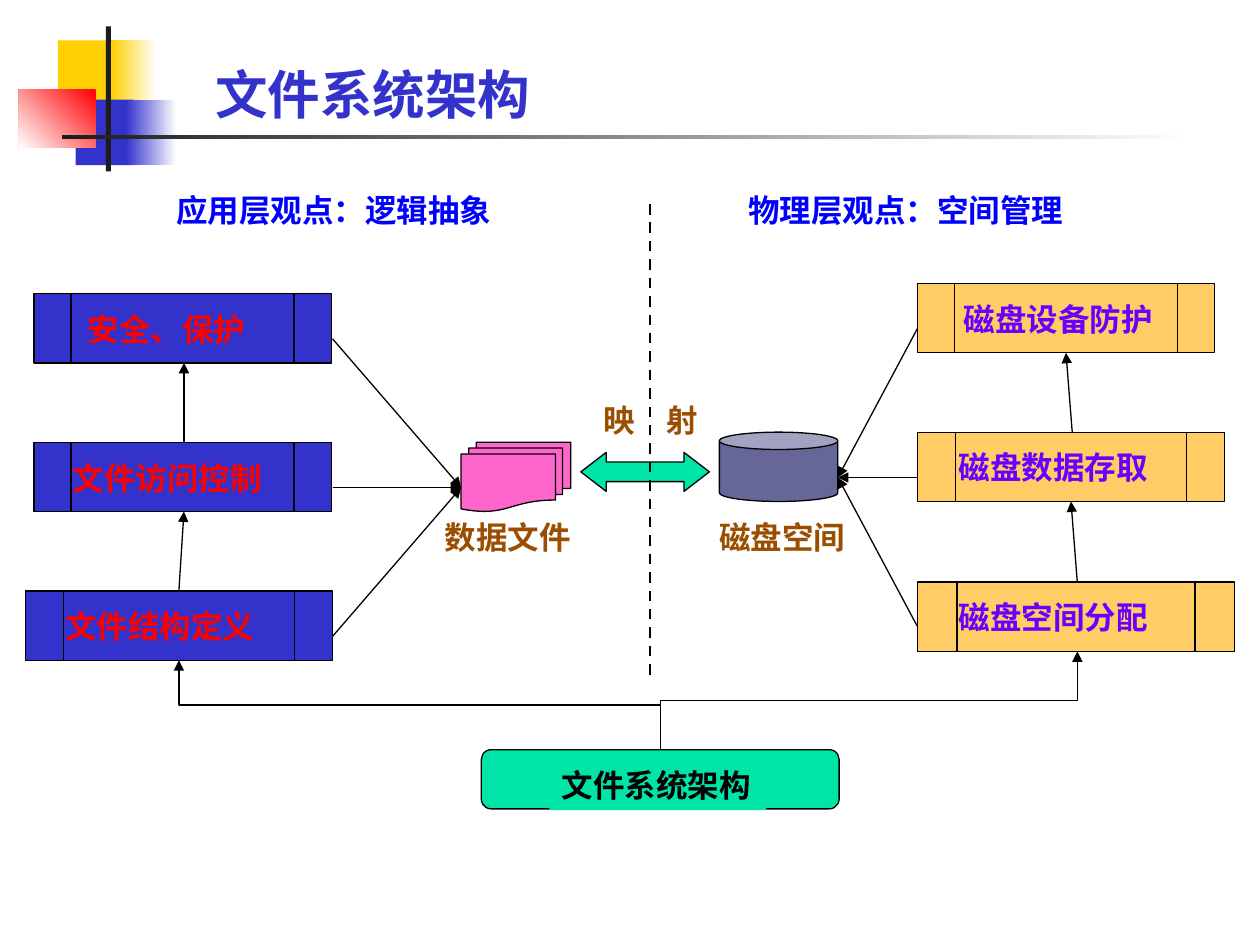
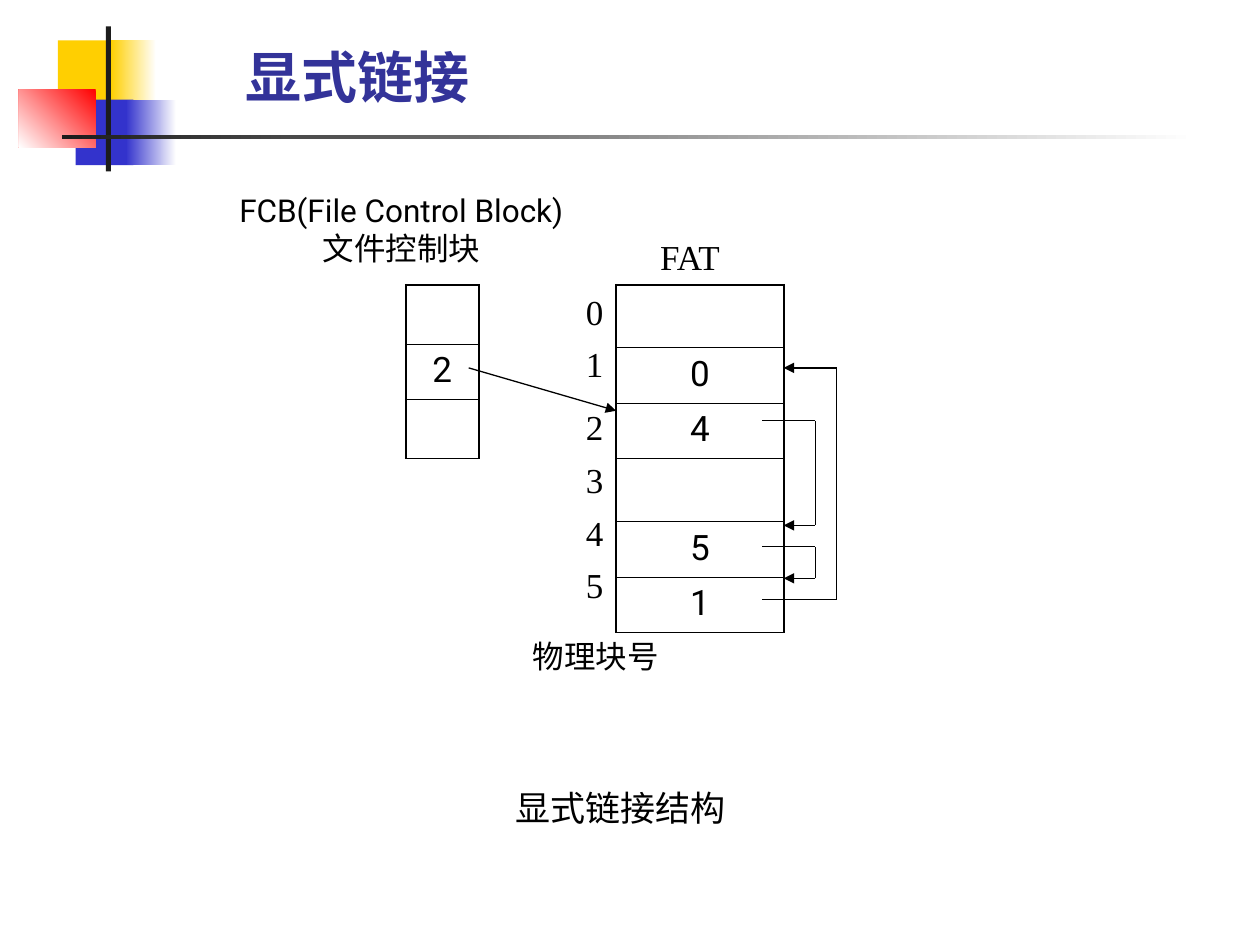
import pptx
import pptx.dml.color
import pptx.enum.dml
import pptx.enum.shapes
import pptx.enum.text
import pptx.oxml
import pptx.oxml.ns
import pptx.util
from lxml import etree

Inches = pptx.util.Inches
Pt = pptx.util.Pt
RGBColor = pptx.dml.color.RGBColor
SHAPE = pptx.enum.shapes.MSO_SHAPE
CONNECTOR = pptx.enum.shapes.MSO_CONNECTOR
ALIGN = pptx.enum.text.PP_ALIGN
qn = pptx.oxml.ns.qn

BLACK = RGBColor(0x00, 0x00, 0x00)
WHITE = RGBColor(0xFF, 0xFF, 0xFF)
CHARCOAL = RGBColor(0x1C, 0x1C, 0x1C)
YELLOW = RGBColor(0xFF, 0xCF, 0x01)
BLUE = RGBColor(0x33, 0x33, 0xCC)
NAVY = RGBColor(0x33, 0x33, 0x99)
RED = RGBColor(0xFF, 0x00, 0x00)
PURE_BLUE = RGBColor(0x00, 0x00, 0xFF)
MINT = RGBColor(0x00, 0xE4, 0xA8)
ORANGE = RGBColor(0xFF, 0xCC, 0x66)
VIOLET = RGBColor(0x66, 0x00, 0xFF)
PINK = RGBColor(0xFF, 0x66, 0xCC)
SLATE = RGBColor(0x66, 0x66, 0x99)
BROWN = RGBColor(0x9C, 0x4E, 0x00)

CJK_FONT = "Noto Sans CJK SC"
TITLE = {"name": CJK_FONT, "size": Pt(30), "bold": True}
LABEL = {"name": "Roboto", "size": Pt(18), "bold": True}
NOTE = {"name": "Roboto", "size": Pt(18), "bold": False}
CELL = {"name": "Roboto", "size": Pt(20), "bold": False}
SERIF = {"name": "Times New Roman", "size": Pt(20), "bold": False}
FRAME = {
    "word_wrap": True,
    "auto_size": pptx.enum.text.MSO_AUTO_SIZE.NONE,
    "vertical_anchor": pptx.enum.text.MSO_ANCHOR.TOP,
    "margin_left": Inches(0.1),
    "margin_right": Inches(0.1),
    "margin_top": Inches(0.05),
    "margin_bottom": Inches(0.05),
}


def write_text(text_frame, text, style, color, align=ALIGN.LEFT):
    text_frame.text = text
    for paragraph in text_frame.paragraphs:
        paragraph.alignment = align
        for run in paragraph.runs:
            for attribute, value in style.items():
                setattr(run.font, attribute, value)
            run.font.color.rgb = color
            latin = run.font._element.find(qn("a:latin"))
            east_asian = etree.Element(qn("a:ea"), typeface=CJK_FONT)
            latin.addnext(east_asian)


def add_line(slide, start, end, arrow=True, kind=CONNECTOR.STRAIGHT, width=0.75):
    connector = slide.shapes.add_connector(kind, *map(Inches, start + end))
    connector.line.color.rgb = BLACK
    connector.line.width = Pt(width)
    properties = connector.element.spPr
    if arrow:
        etree.SubElement(properties.find(qn("a:ln")), qn("a:tailEnd"), type="triangle")
    etree.SubElement(properties, qn("a:effectLst"))
    return connector


presentation = pptx.Presentation()
presentation.slide_width = Inches(10)
presentation.slide_height = Inches(7.5)
layout = presentation.slide_layouts[5]

titles = [
    ("文件系统架构", (1.61, 0.44, 3.7, 0.6), BLUE, TITLE),
    ("显式链接", (1.85, 0.29, 2.36, 0.71), NAVY, TITLE | {"size": Pt(32)}),
]
for text, box, color, style in titles:
    slide = presentation.slides.add_slide(layout)
    title = slide.shapes.title
    title.left, title.top, title.width, title.height = map(Inches, box)
    for attribute, value in FRAME.items():
        setattr(title.text_frame, attribute, value)
    write_text(title.text_frame, text, style, color)
architecture, linking = presentation.slides

decorations = [
    ((0.46, 0.32, 0.48, 0.52), [YELLOW], 0),
    ((0.88, 0.32, 0.36, 0.52), [WHITE, YELLOW], 180),
    ((0.6, 0.79, 0.46, 0.52), [BLUE], 0),
    ((1, 0.79, 0.4, 0.52), [WHITE, BLUE], 180),
    ((0.15, 0.71, 0.61, 0.46), [RED, WHITE], 225),
    ((0.84, 0.21, 0.04, 1.15), [CHARCOAL], 0),
    ((0.49, 1.07, 9, 0.03), [WHITE, CHARCOAL], 180),
]
for box, colors, angle in decorations:
    shape = architecture.shapes.add_shape(SHAPE.RECTANGLE, *map(Inches, box))
    shape.shadow.inherit = False
    shape.line.fill.background()
    if len(colors) == 1:
        shape.fill.solid()
        shape.fill.fore_color.rgb = colors[0]
    else:
        shape.fill.gradient()
        shape.fill.gradient_angle = angle
        for stop, color, position in zip(shape.fill.gradient_stops, colors, (0, 1)):
            stop.color.rgb = color
            stop.position = position
    layout.shapes.element.append(shape.element)

processes = [
    ("安全、保护", (0.27, 2.33, 2.36, 0.55), 0.6, BLUE, RED),
    ("文件访问控制", (0.27, 3.51, 2.36, 0.55), 0.48, BLUE, RED),
    ("文件结构定义", (0.2, 4.69, 2.44, 0.55), 0.42, BLUE, RED),
    ("磁盘设备防护", (7.28, 2.25, 2.36, 0.55), 7.55, ORANGE, VIOLET),
    ("磁盘数据存取", (7.28, 3.43, 2.44, 0.55), 7.51, ORANGE, VIOLET),
    ("磁盘空间分配", (7.28, 4.62, 2.52, 0.55), 7.51, ORANGE, VIOLET),
]
diagram = [(SHAPE.FLOWCHART_PREDEFINED_PROCESS, box, fill) for _, box, _, fill, _ in processes]
diagram += [
    (SHAPE.FLOWCHART_ALTERNATE_PROCESS, (3.82, 5.95, 2.84, 0.47), MINT),
    (SHAPE.FLOWCHART_MULTIDOCUMENT, (3.66, 3.51, 0.87, 0.55), PINK),
    (SHAPE.CAN, (5.71, 3.43, 0.94, 0.55), SLATE),
    (SHAPE.LEFT_RIGHT_ARROW, (4.61, 3.59, 1.02, 0.31), MINT),
]
for kind, box, fill in diagram:
    shape = architecture.shapes.add_shape(kind, *map(Inches, box))
    shape.shadow.inherit = False
    shape.fill.solid()
    shape.fill.fore_color.rgb = fill
    shape.line.color.rgb = BLACK
    shape.line.width = Pt(0.75)
    if kind == SHAPE.LEFT_RIGHT_ARROW:
        shape.adjustments[1] = 0.65

arrows = [
    ((1.42, 4.69), (1.46, 4.06)),
    ((1.46, 3.51), (1.46, 2.88)),
    ((8.55, 4.62), (8.5, 3.98)),
    ((8.51, 3.43), (8.46, 2.8)),
]
arrows += [((2.64, top), (3.66, 3.87)) for top in (2.69, 3.87, 5.05)]
arrows += [((7.28, top), (6.65, 3.79)) for top in (2.61, 3.79, 4.97)]
for start, end in arrows:
    add_line(architecture, start, end)

root_x, root_y = 5.24, 5.95
for target_x, target_y, side in [(1.42, 5.24, -1), (8.55, 5.17, 1)]:
    center_x, center_y = (root_x + target_x) / 2, (root_y + target_y) / 2
    half_rise, half_run = (root_y - target_y) / 2, abs(root_x - target_x) / 2
    elbow = add_line(
        architecture,
        (center_x + side * half_rise, center_y + half_run),
        (center_x - side * half_rise, center_y - half_run),
        kind=CONNECTOR.ELBOW,
    )
    elbow.element.spPr.find(qn("a:xfrm")).set("rot", str((180 - side * 90) * 60000))

divider = add_line(architecture, (5.16, 1.62), (5.16, 5.4), arrow=False, width=1.5)
divider.line.dash_style = pptx.enum.dml.MSO_LINE.DASH

labels = [
    (architecture, text, (left, box[1] + 0.08, 1.9, 0.4), LABEL, color, ALIGN.LEFT)
    for text, box, left, _, color in processes
]
labels += [
    (architecture, text, box, LABEL, color, ALIGN.LEFT)
    for text, box, color in [
        ("数据文件", (3.43, 4.06, 1.57, 0.4), BROWN),
        ("磁盘空间", (5.61, 4.06, 1.44, 0.4), BROWN),
        ("映\t射", (4.69, 3.13, 1.1, 0.4), BROWN),
        ("应用层观点：逻辑抽象", (1.3, 1.47, 3.07, 0.4), PURE_BLUE),
        ("物理层观点：空间管理", (5.84, 1.47, 3.49, 0.4), PURE_BLUE),
        ("文件系统架构", (4.36, 6.03, 1.72, 0.4), BLACK),
    ]
]
labels += [
    (linking, str(number), (4.47, top, 0.5, 0.44), SERIF, BLACK, ALIGN.CENTER)
    for number, top in enumerate((2.26, 2.67, 3.17, 3.59, 4.01, 4.42))
]
labels += [
    (linking, "物理块号", (4.13, 5.01, 1.26, 0.4), SERIF | {"size": Pt(18)}, BLACK, ALIGN.LEFT),
    (linking, "FAT", (5.14, 1.82, 0.92, 0.44), SERIF, BLACK, ALIGN.LEFT),
    (linking, "显式链接结构", (2.88, 6.19, 4.09, 0.44), CELL | {"name": CJK_FONT}, BLACK, ALIGN.CENTER),
    (linking, "FCB(File Control Block)\n文件控制块", (1.69, 1.47, 2.99, 0.7), NOTE, BLACK, ALIGN.CENTER),
]
for slide, text, box, style, color, align in labels:
    label = slide.shapes.add_textbox(*map(Inches, box))
    for attribute, value in FRAME.items():
        setattr(label.text_frame, attribute, value)
    if "\t" in text:
        properties = label.text_frame.paragraphs[0]._p.get_or_add_pPr()
        tabs = etree.SubElement(properties, qn("a:tabLst"))
        etree.SubElement(tabs, qn("a:tab"), pos=str(Inches(0.41)), algn="l")
    write_text(label.text_frame, text, style, color, align)
    if color == BLACK and slide is architecture:
        label.fill.solid()
        label.fill.fore_color.rgb = MINT

tables = [
    (3.22, 0.58, ["", "2", ""], 0.47),
    (4.89, 1.33, ["", "0", "4", "", "5", "1"], 0.5),
]
for left, width, values, empty_height in tables:
    heights = [0.44 if value else empty_height for value in values]
    frame = linking.shapes.add_table(
        len(values), 1, Inches(left), Inches(2.26), Inches(width), Inches(sum(heights))
    )
    table = frame.table
    table.first_row = False
    table.horz_banding = False
    for index, (value, height) in enumerate(zip(values, heights)):
        table.rows[index].height = Inches(height)
        cell = table.cell(index, 0)
        cell.fill.background()
        write_text(cell.text_frame, value, CELL, BLACK, ALIGN.CENTER)
        borders = {
            "a:lnL": 1.08,
            "a:lnR": 1.08,
            "a:lnT": 1.08 if index == 0 else 0.45,
            "a:lnB": 1.08 if index == len(values) - 1 else 0.45,
        }
        cell_properties = cell._tc.get_or_add_tcPr()
        for position, (tag, weight) in enumerate(borders.items()):
            border = etree.Element(qn(tag), w=str(Pt(weight)))
            fill = etree.SubElement(border, qn("a:solidFill"))
            etree.SubElement(fill, qn("a:srgbClr"), val=str(BLACK))
            cell_properties.insert(position, border)

for start_y, end_y, turn_x in [(3.34, 4.17, 6.47), (4.34, 4.59, 6.47), (4.76, 2.92, 6.64)]:
    add_line(linking, (6.05, start_y), (turn_x, start_y), arrow=False)
    add_line(linking, (turn_x, start_y), (turn_x, end_y), arrow=False)
    add_line(linking, (turn_x, end_y), (6.22, end_y))
add_line(linking, (3.72, 2.92), (4.89, 3.26))

presentation.save("out.pptx")
